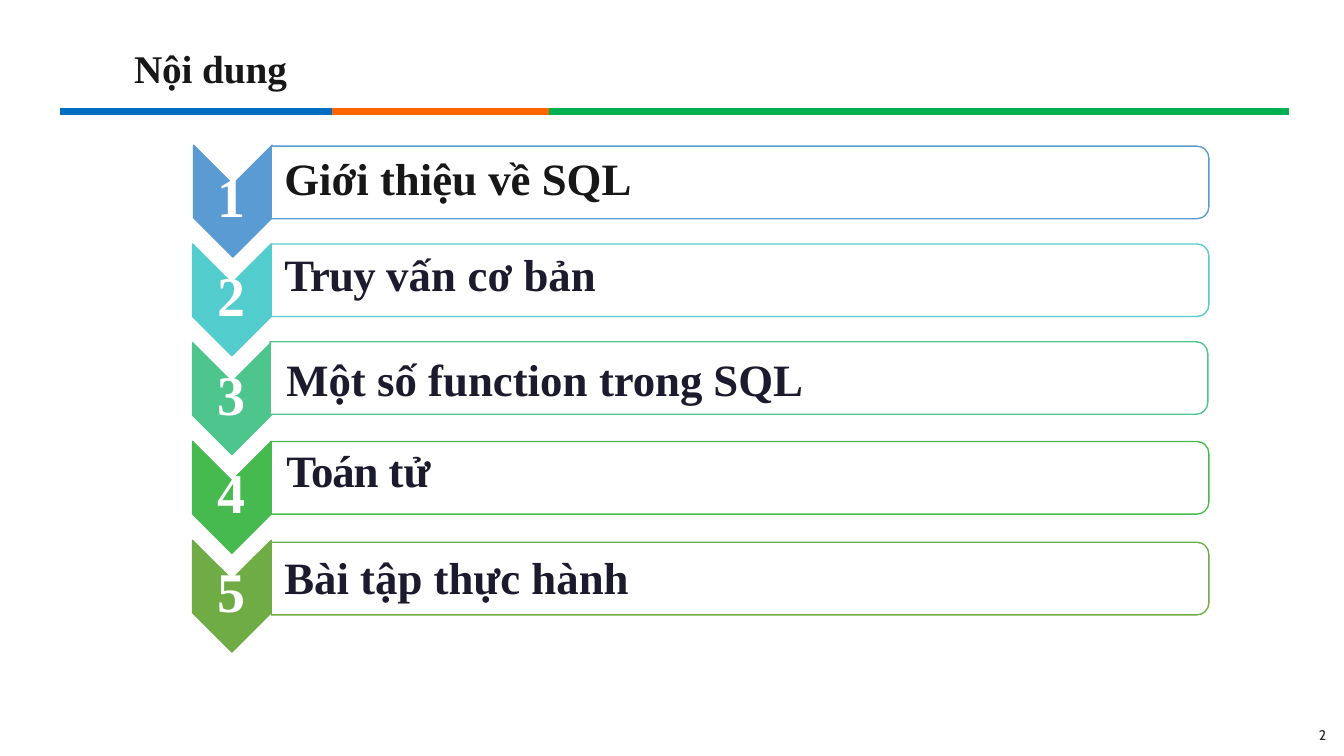
from dataclasses import dataclass

from pptx import Presentation
from pptx.dml.color import RGBColor
from pptx.enum.shapes import MSO_SHAPE
from pptx.enum.text import MSO_ANCHOR, MSO_AUTO_SIZE, PP_ALIGN
from pptx.util import Inches, Pt

RECTANGLE = MSO_SHAPE.RECTANGLE
TOP = MSO_ANCHOR.TOP
LEFT = PP_ALIGN.LEFT
FIXED_SIZE = MSO_AUTO_SIZE.NONE


@dataclass(frozen=True)
class Theme:
    serif: str = "Times New Roman"
    sans: str = "Cabin"
    dark: str = "171717"
    navy: str = "1B1B2D"
    white: str = "FFFFFF"
    footer: str = "252525"
    title_size: int = 28
    topic_size: int = 32
    number_size: int = 40
    footer_size: int = 10
    outline: float = 0.96


THEME = Theme()


def write(box, place, paragraphs, size, color, font=THEME.serif, bold=True,
          before=0, line=None):
    """Place a text holder; each paragraph is a list of (text, tracking in points)."""
    box.left, box.top, box.width, box.height = [Inches(v) for v in place]
    frame = box.text_frame
    frame.word_wrap = True
    frame.auto_size = FIXED_SIZE
    frame.vertical_anchor = TOP
    frame.margin_left = frame.margin_right = frame.margin_bottom = 0
    frame.margin_top = Inches(0.01)
    for index, spans in enumerate(paragraphs):
        para = frame.add_paragraph() if index else frame.paragraphs[0]
        para.alignment = LEFT
        para.space_before = Pt(before)
        if line:
            para.line_spacing = Pt(line)
        for text, tracking in spans:
            span = para.add_run()
            span.text = text
            span.font.name = font
            span.font.size = Pt(size)
            span.font.bold = bold
            span.font.color.rgb = RGBColor.from_string(color)
            span.font._element.set("spc", str(round(tracking * 100)))


def paint(shape, fill, line):
    shape.shadow.inherit = False
    shape.fill.solid()
    shape.fill.fore_color.rgb = RGBColor.from_string(fill)
    shape.line.color.rgb = RGBColor.from_string(line)
    shape.line.width = Pt(THEME.outline)


deck = Presentation()
deck.slide_width, deck.slide_height = Inches(13.33), Inches(7.5)
page = deck.slides.add_slide(deck.slide_layouts[5])
shapes = page.shapes

# Three-colour rule under the title
for left, right, color in [(5.44, 12.78, "00AF50"), (3.3, 5.44, "FF6600"),
                           (0.6, 3.29, "006FC0")]:
    stripe = shapes.add_shape(RECTANGLE, Inches(left), Inches(1.08),
                              Inches(right - left), Inches(0.06))
    paint(stripe, color, color)

# Title
write(shapes.title, (1.33, 0.43, 1.65, 0.49), [[("Nội ", -0.1), ("dung", 0)]],
      THEME.title_size, THEME.dark, before=0.9)

# Topics: colour, bar left and top, text left and top, text colour, spans
topics = [
    ("5B9BD4", 2.69, 1.45, 2.82, 1.49, THEME.dark, [("Giới thiệu về SQL", 0)]),
    ("53CCCD", 2.69, 2.42, 2.82, 2.44, THEME.navy,
     [("Truy ", -0.6), ("vấn ", 0.1), ("cơ ", 0), ("bản", -0.1)]),
    ("4DC58D", 2.68, 3.39, 2.84, 3.48, THEME.navy,
     [("Một số function ", 0), ("trong ", -0.1), ("SQL", 0)]),
    ("47BA4F", 2.69, 4.38, 2.84, 4.38, THEME.navy, [("Toán ", -0.8), ("tử", 0)]),
    ("6FAC46", 2.69, 5.38, 2.82, 5.44, THEME.navy, [("Bài tập thực hành", 0)]),
]
ROW_PITCH = 0.98
ROW_TOP = 1.44
SIDE = 0.72
BAR_WIDTH = 9.3
chevron_outline = [(0, 0), (0.39, 0.39), (0.78, 0), (0.78, SIDE), (0.39, 1.11), (0, SIDE)]
corner = [(0.12, 0), (0.07, 0.01), (0.04, 0.03), (0.01, 0.07), (0, 0.12)]
bar_outline = ([(0, 0)] + [(BAR_WIDTH - x, y) for x, y in corner]
               + [(BAR_WIDTH - x, SIDE - y) for x, y in reversed(corner)] + [(0, SIDE)])

for row, (color, bar_left, bar_top, _, _, _, _) in enumerate(topics):
    chevron_left = 1.91 if row else 1.92
    chevron_top = ROW_TOP + row * ROW_PITCH
    for left, top, outline, fill in [
        (chevron_left, chevron_top, chevron_outline, color),
        (bar_left, bar_top, bar_outline, THEME.white),
    ]:
        points = [(Inches(left + x), Inches(top + y)) for x, y in outline]
        builder = shapes.build_freeform(*points[0], scale=1.0)
        builder.add_line_segments(points[1:], close=True)
        paint(builder.convert_to_shape(), fill, color)

# Numbers: one line per chevron, spaced at the row pitch
numbers = [[(str(row + 1), -0.1)] for row in range(len(topics))]
write(shapes.add_textbox(0, 0, 0, 0), (2.16, 1.28, 0.4, 4.93), numbers,
      THEME.number_size, THEME.white, line=ROW_PITCH * 72)

# Topic names
for _, _, _, left, top, color, spans in topics:
    write(shapes.add_textbox(0, 0, 0, 0), (left, top, 5.4, 0.56), [spans],
          THEME.topic_size, color, before=1.1)

# Page number
write(shapes.add_textbox(0, 0, 0, 0), (13.08, 7.2, 0.2, 0.18), [[("2", -0.1)]],
      THEME.footer_size, THEME.footer, font=THEME.sans, bold=False)

deck.save("out.pptx")
